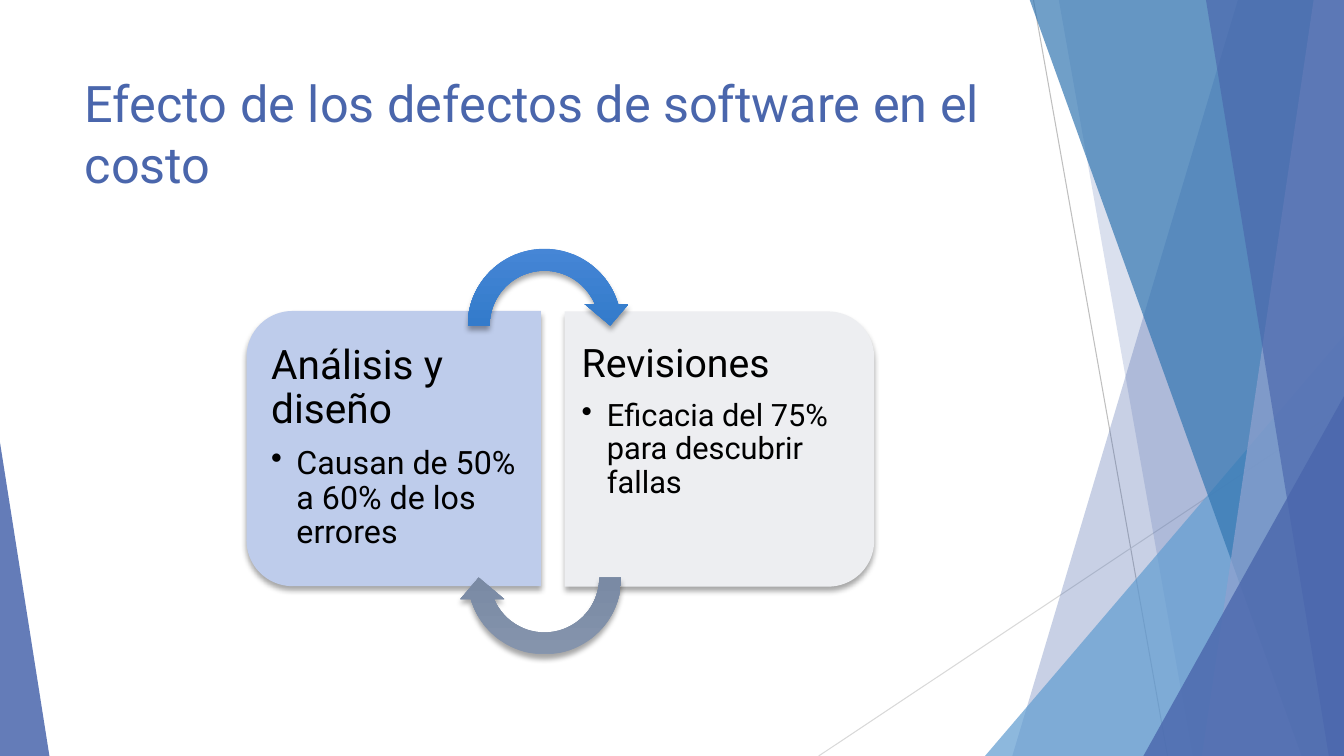
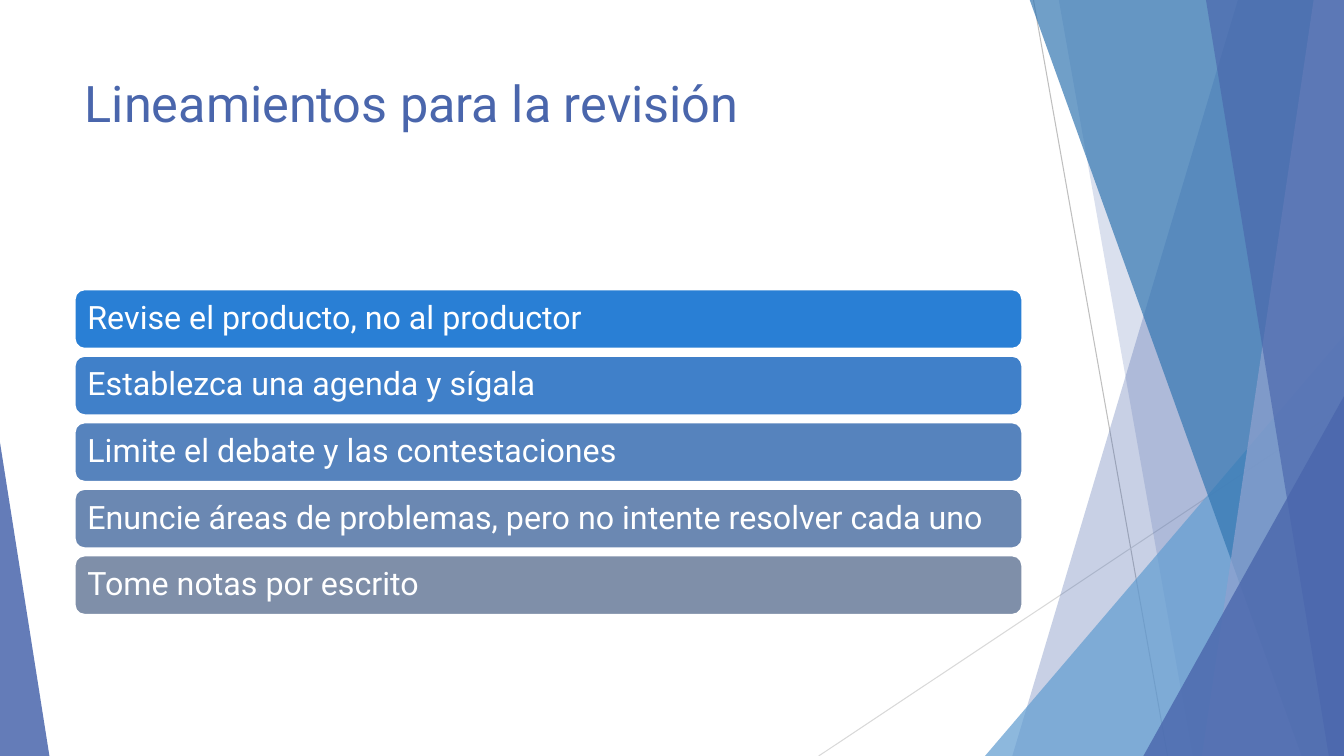
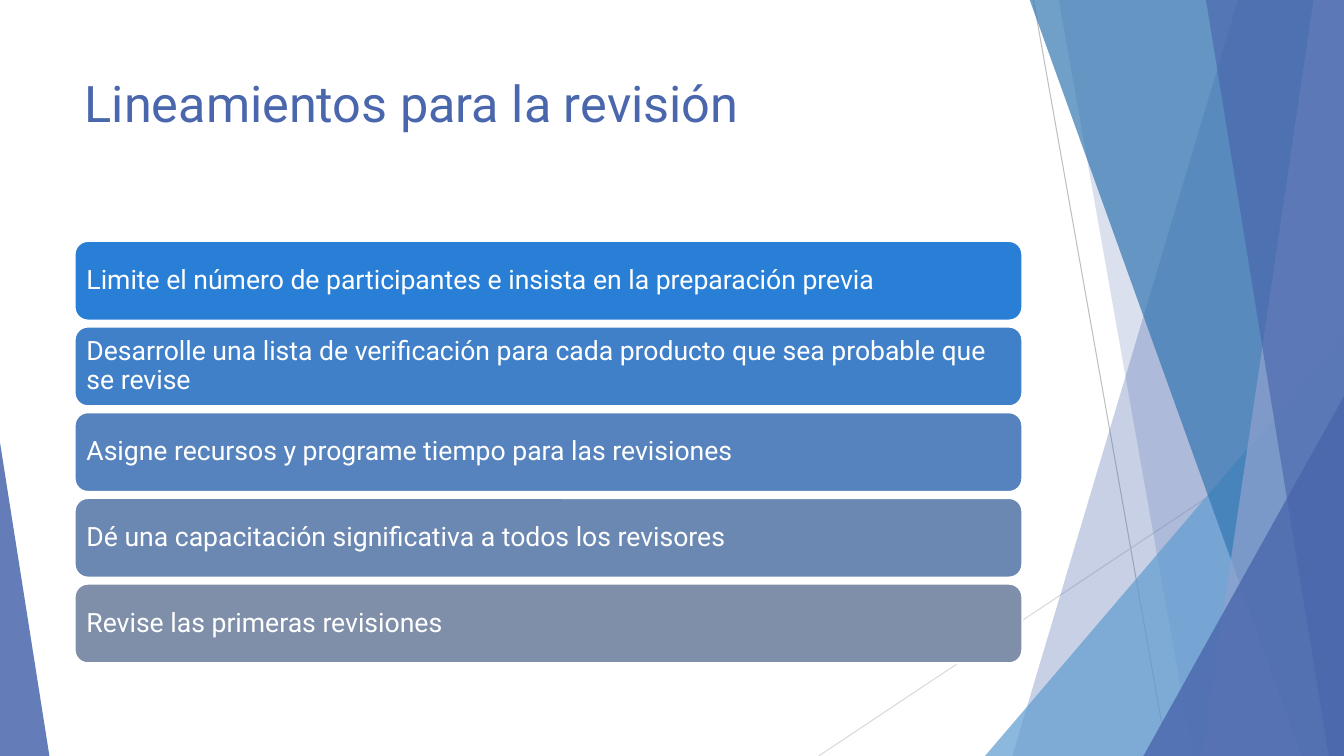
from lxml.etree import SubElement
from pptx import Presentation
from pptx.dml.color import RGBColor
from pptx.enum.shapes import MSO_CONNECTOR, MSO_SHAPE as Shape
from pptx.enum.text import MSO_ANCHOR as Anchor, MSO_AUTO_SIZE as AutoSize, PP_ALIGN as Align
from pptx.oxml.ns import qn
from pptx.util import Inches, Pt

WIDTH, HEIGHT = 13.33, 7.5
LEFT, CONTENT_WIDTH = 0.74, 9.4
FONT = "Roboto"

WHITE = RGBColor(0xFF, 0xFF, 0xFF)
BLACK = RGBColor(0x00, 0x00, 0x00)
INDIGO = RGBColor(0x4A, 0x66, 0xAC)
SKY = RGBColor(0x62, 0x9D, 0xD1)
OCEAN = RGBColor(0x34, 0x77, 0xB2)
LAVENDER = RGBColor(0x90, 0xA2, 0xCF)
GREY = RGBColor(0xBF, 0xBF, 0xBF)
LIGHT_GREY = RGBColor(0xD9, 0xD9, 0xD9)
PALE_BLUE = RGBColor(0xBE, 0xCC, 0xEB)
PALE_GREY = RGBColor(0xED, 0xEE, 0xF1)
BLUE_GRADIENT = RGBColor(0x48, 0x87, 0xD7), RGBColor(0x26, 0x74, 0xC3)
SLATE_GRADIENT = RGBColor(0x87, 0x96, 0xAE), RGBColor(0x71, 0x82, 0x9D)
BAR_COLOURS = (
    RGBColor(0x29, 0x7F, 0xD5),
    RGBColor(0x40, 0x80, 0xC9),
    RGBColor(0x56, 0x83, 0xBD),
    RGBColor(0x6B, 0x88, 0xB2),
    RGBColor(0x7F, 0x8F, 0xA9),
)


class SlideBuilder:
    """Holds the shared style and the slide being built."""

    def __init__(self):
        self.deck = Presentation()
        self.deck.slide_width = Inches(WIDTH)
        self.deck.slide_height = Inches(HEIGHT)
        self.slide = None

    def new_slide(self, title):
        self.slide = self.deck.slides.add_slide(self.deck.slide_layouts[5])
        self.decorate()
        box = self.slide.shapes.title
        box.left, box.top = Inches(LEFT), Inches(0.67)
        box.width, box.height = Inches(CONTENT_WIDTH), Inches(1.44)
        frame = box.text_frame
        frame.text = title
        frame.auto_size = AutoSize.NONE
        frame.vertical_anchor = Anchor.TOP
        self.style(frame.paragraphs[0], 36, INDIGO)

    def decorate(self):
        """Thin lines and translucent ribbons shared by all slides."""
        self.line((10.25, 0), (11.58, HEIGHT), GREY)
        self.line((WIDTH, 4.03), (8.12, HEIGHT), LIGHT_GREY)
        self.ribbon(12.28, 10.04, INDIGO, 30)
        self.ribbon(10.5, 11.83, INDIGO, 20)
        self.corner(9.77, 3.56, 4.17, 1, SKY, 72)
        self.ribbon(10.21, 12.91, OCEAN, 70)
        self.ribbon(13.03, 11.92, LAVENDER, 70)
        self.ribbon(11.96, 13.18, INDIGO, 65)
        self.corner(11.34, 1.99, 3.57, 1, INDIGO, 80)
        self.corner(0, 0.49, 3.11, 0, INDIGO, 85)

    def line(self, start, end, colour):
        points = [Inches(value) for value in (*start, *end)]
        line = self.slide.shapes.add_connector(MSO_CONNECTOR.STRAIGHT, *points)
        line.line.color.rgb = colour
        line.line.width = Pt(0.75)
        SubElement(line._element.spPr, qn("a:effectLst"))

    def ribbon(self, top_x, bottom_x, colour, opacity):
        """Band from a slanted left edge to the right side of the slide."""
        top = -0.01
        outline = self.slide.shapes.build_freeform(Inches(top_x), Inches(top))
        corners = (WIDTH, top), (WIDTH, HEIGHT), (bottom_x, HEIGHT)
        outline.add_line_segments([(Inches(x), Inches(y)) for x, y in corners])
        self.paint(outline.convert_to_shape(), colour, opacity)

    def corner(self, left, width, height, apex, colour, opacity):
        """Triangle standing on the bottom edge of the slide."""
        triangle = self.shape(Shape.ISOSCELES_TRIANGLE, left, HEIGHT - height, width, height, [apex])
        self.paint(triangle, colour, opacity)

    def shape(self, kind, left, top, width, height, adjustments=(), rotation=0):
        shape = self.slide.shapes.add_shape(kind, Inches(left), Inches(top), Inches(width), Inches(height))
        for index, value in enumerate(adjustments):
            shape.adjustments[index] = value
        shape.rotation = rotation
        shape.shadow.inherit = False
        shape.line.fill.background()
        return shape

    def paint(self, shape, colour, opacity=100):
        shape.shadow.inherit = False
        shape.line.fill.background()
        shape.fill.solid()
        shape.fill.fore_color.rgb = colour
        if opacity < 100:
            tint = shape._element.spPr.find(qn("a:solidFill")).find(qn("a:srgbClr"))
            SubElement(tint, qn("a:alpha"), val=str(opacity * 1000))

    def drop_shadow(self, shape):
        effects = shape._element.spPr.find(qn("a:effectLst"))
        shadow = SubElement(effects, qn("a:outerShdw"), blurRad=str(Pt(4)), dist=str(Pt(3)),
                            dir="5400000", algn="ctr", rotWithShape="0")
        black = SubElement(shadow, qn("a:srgbClr"), val="000000")
        SubElement(black, qn("a:alpha"), val="35000")

    def style(self, para, size, colour):
        para.alignment = Align.LEFT
        for span in para.runs:
            span.font.name = FONT
            span.font.size = Pt(size)
            span.font.color.rgb = colour

    def panel(self, left, top, width, height, rotation, colour):
        """Card with two rounded corners, turned to the outer side."""
        card = self.shape(Shape.ROUND_2_SAME_RECTANGLE, left, top, width, height, [0.167, 0], rotation)
        self.paint(card, colour)
        self.drop_shadow(card)

    def panel_text(self, left, width, insets, heading, detail, sizes):
        box = self.slide.shapes.add_textbox(Inches(left), Inches(3.22), Inches(width), Inches(2.46))
        frame = box.text_frame
        frame.word_wrap = True
        (frame.margin_left, frame.margin_top,
         frame.margin_right, frame.margin_bottom) = map(Inches, insets)
        frame.text = f"{heading}\n{detail}"
        for para, size, gap in zip(frame.paragraphs, sizes, (0.35, 0.15)):
            self.style(para, size, BLACK)
            para.line_spacing = 0.9
            para.space_after = Pt(round(size * gap))
        properties = frame.paragraphs[1]._p.get_or_add_pPr()
        properties.set("marL", str(Inches(0.25)))
        properties.set("indent", str(Inches(-0.25)))
        SubElement(properties, qn("a:buChar"), char="•")

    def cycle_arrow(self, top, rotation, gradient):
        arrow = self.shape(Shape.CIRCULAR_ARROW, 4.53, top, 1.74, 1.74,
                           [0.125, 11.423, 204.577, 108, 0.125], rotation)
        arrow.fill.gradient()
        arrow.fill.gradient_angle = 270
        for stop, colour, position in zip(arrow.fill.gradient_stops, gradient, (0, 0.78)):
            stop.color.rgb = colour
            stop.position = position
        self.drop_shadow(arrow)

    def bars(self, top, height, pitch, size, inset, texts):
        """Stack of equal bars with one guideline each."""
        for index, (text, colour) in enumerate(zip(texts, BAR_COLOURS)):
            bar = self.shape(Shape.ROUNDED_RECTANGLE, LEFT, top + index * pitch, CONTENT_WIDTH, height)
            self.paint(bar, colour)
            bar.line.color.rgb = WHITE
            bar.line.width = Pt(1.5)
            frame = bar.text_frame
            frame.word_wrap = True
            frame.vertical_anchor = Anchor.MIDDLE
            frame.margin_left = frame.margin_right = Inches(inset)
            frame.margin_top = frame.margin_bottom = Inches(inset)
            frame.text = text
            self.style(frame.paragraphs[0], size, WHITE)
            frame.paragraphs[0].line_spacing = 0.9


def main():
    builder = SlideBuilder()

    # Cost of defects: two cards joined by a cycle
    builder.new_slide("Efecto de los defectos de software en el costo")
    builder.panel(2.54, 2.99, 2.73, 2.92, 270, PALE_BLUE)
    builder.panel_text(2.57, 2.79, (0.12, 0.2, 0.18, 0.2), "Análisis y diseño",
                       "Causan de 50% a 60% de los errores", (29, 23))
    builder.panel(5.77, 2.92, 2.73, 3.07, 90, PALE_GREY)
    builder.panel_text(5.6, 2.94, (0.17, 0.19, 0.12, 0.19), "Revisiones",
                       "Eficacia del 75% para descubrir fallas", (28, 22))
    builder.cycle_arrow(2.36, 0, BLUE_GRADIENT)
    builder.cycle_arrow(4.86, 180, SLATE_GRADIENT)

    # Review guidelines, first half
    builder.new_slide("Lineamientos para la revisión")
    builder.bars(2.87, 0.59, 0.66, 23, 0.1, (
        "Revise el producto, no al productor",
        "Establezca una agenda y sígala",
        "Limite el debate y las contestaciones",
        "Enuncie áreas de problemas, pero no intente resolver cada uno",
        "Tome notas por escrito",
    ))

    # Review guidelines, second half
    builder.new_slide("Lineamientos para la revisión")
    builder.bars(2.39, 0.79, 0.85, 19, 0.08, (
        "Limite el número de participantes e insista en la preparación previa",
        "Desarrolle una lista de verificación para cada producto que sea probable que se revise",
        "Asigne recursos y programe tiempo para las revisiones",
        "Dé una capacitación significativa a todos los revisores",
        "Revise las primeras revisiones",
    ))

    builder.deck.save("out.pptx")


if __name__ == "__main__":
    main()
